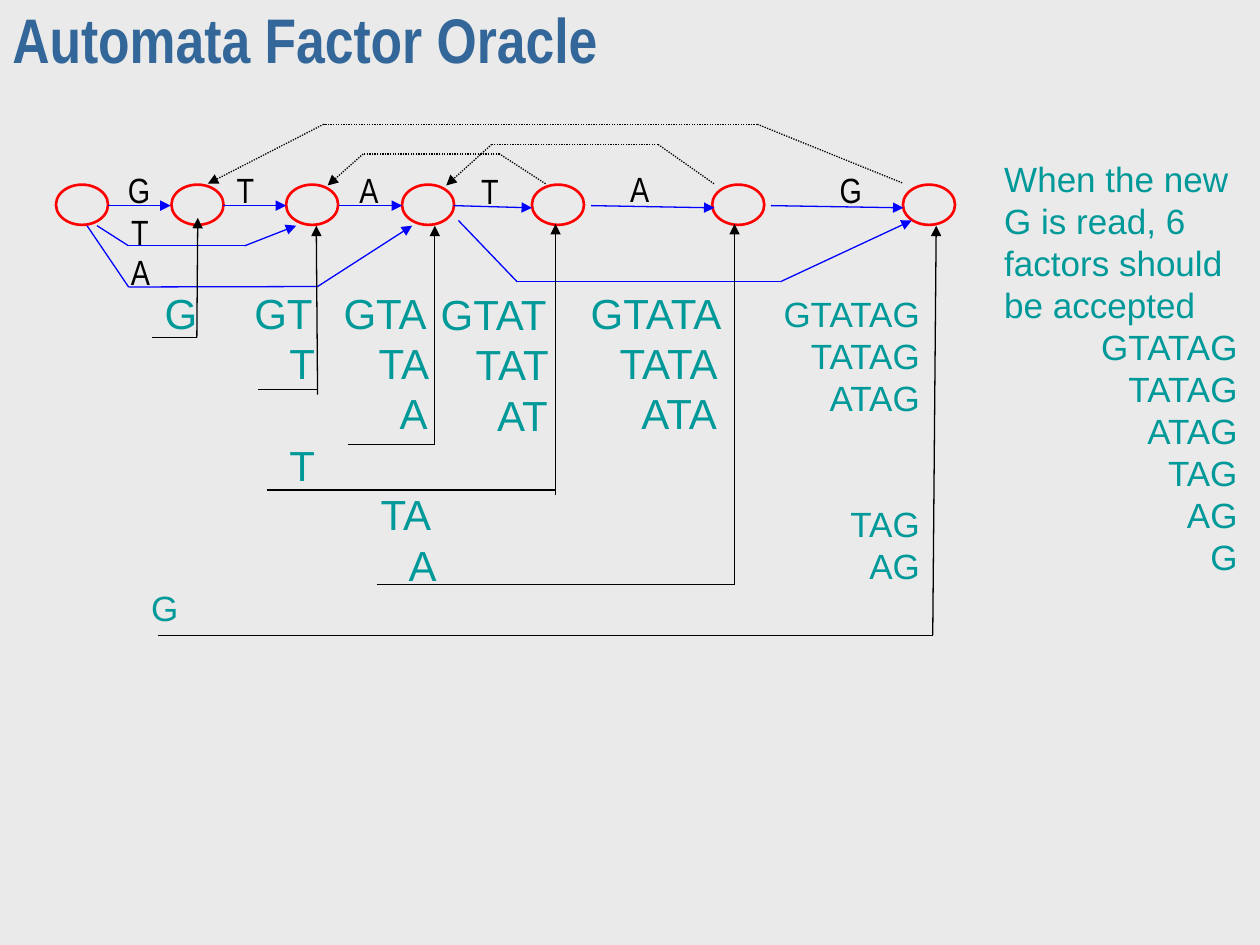
from pptx import Presentation
from pptx.dml.color import RGBColor
from pptx.enum.dml import MSO_LINE
from pptx.enum.shapes import MSO_CONNECTOR, MSO_SHAPE
from pptx.enum.text import MSO_ANCHOR, PP_ALIGN
from pptx.oxml.ns import qn
from pptx.util import Pt
from lxml.etree import SubElement

PAPER = RGBColor(0xEA, 0xEA, 0xEA)
STEEL = RGBColor(0x33, 0x66, 0x99)
TEAL = RGBColor(0x00, 0x99, 0x99)
RED = RGBColor(0xFF, 0x00, 0x00)
BLUE = RGBColor(0x00, 0x00, 0xFF)
BLACK = RGBColor(0x00, 0x00, 0x00)
INK = RGBColor(0x01, 0x00, 0x00)
LEFT, RIGHT, CENTER = PP_ALIGN.LEFT, PP_ALIGN.RIGHT, PP_ALIGN.CENTER


class Board:
    sans = "Arial"
    narrow = "Arial Narrow"

    def __init__(self, deck):
        self.slide = deck.slides.add_slide(deck.slide_layouts[6])
        fill = self.slide.background.fill
        fill.solid()
        fill.fore_color.rgb = PAPER

    def frame(self, x, y, w, h, anchor=MSO_ANCHOR.TOP, wrap=True):
        box = self.slide.shapes.add_textbox(Pt(x), Pt(y), Pt(w), Pt(h))
        frame = box.text_frame
        frame.word_wrap = wrap
        frame.vertical_anchor = anchor
        return frame

    def put(self, para, text, size, color, face, bold=False):
        run = para.add_run()
        run.text = text
        font = run.font
        font.name, font.size, font.bold = face, Pt(size), bold
        font.color.rgb = color

    def title(self, text):
        para = self.frame(0, 0, 720, 54, MSO_ANCHOR.MIDDLE).paragraphs[0]
        para.line_spacing = 0.7
        self.put(para, text, 36, STEEL, self.narrow, True)

    def label(self, text, x, y):
        frame = self.frame(x - 12.5, y - 16, 25, 32, MSO_ANCHOR.MIDDLE, False)
        para = frame.paragraphs[0]
        para.alignment = CENTER
        self.put(para, text, 20, INK, self.narrow)

    def words(self, place, size, rows):
        frame = self.frame(*place)
        for num, (text, align, inset, gap) in enumerate(rows):
            para = frame.add_paragraph() if num else frame.paragraphs[0]
            para.alignment = align
            para.line_spacing = Pt(size * 1.2)
            if gap:
                para.space_before = Pt(gap * size * 1.2)
            if inset:
                props = para._p.get_or_add_pPr()
                props.set("marL", str(Pt(inset)))
                props.set("indent", "0")
            self.put(para, text, size, TEAL, self.sans)

    def state(self, x):
        oval = self.slide.shapes.add_shape(
            MSO_SHAPE.OVAL, Pt(x), Pt(105.5), Pt(29.75), Pt(23))
        oval.shadow.inherit = False
        oval.fill.background()
        oval.line.color.rgb = RED
        oval.line.width = Pt(1.5)

    def route(self, points, color, dash=None, arrow=True):
        for start, end in zip(points, points[1:]):
            edge = self.slide.shapes.add_connector(
                MSO_CONNECTOR.STRAIGHT, *map(Pt, start + end))
            line = edge.line
            line.color.rgb = color
            line.width = Pt(0.75)
            if dash:
                line.dash_style = dash
            SubElement(edge._element.spPr, qn("a:effectLst"))
        if arrow:
            SubElement(line._get_or_add_ln(), qn("a:tailEnd"), type="triangle")


STATES = [32, 98, 163.5, 229.75, 304, 407, 516]
STEPS = [
    (61.75, 97.5, 117.5), (127.5, 163.5, 117.5), (193.5, 229.75, 117.5),
    (259.25, 304, 118.75), (337.75, 408.25, 118.75), (440.5, 516.25, 118.75),
]
LABELS = [
    ("G", 78.5, 108), ("T", 140.25, 108), ("A", 210.75, 108),
    ("T", 280, 109), ("A", 365.5, 107.5), ("G", 485.25, 108),
    ("T", 80, 132.5), ("A", 80.25, 155),
]
JUMPS = [
    [(55.5, 129), (73.5, 140.5), (139.75, 140.5), (169.25, 129)],
    [(49.75, 129), (73.5, 164), (181.5, 163.75), (235.5, 129)],
    [(262, 126), (295.5, 161), (446, 161), (521, 126)],
]
LINKS = [
    [(311.75, 105), (285.5, 88), (207.5, 88), (187.25, 106)],
    [(408, 105), (376, 82.5), (281, 82.5), (255, 106)],
    [(515.5, 104.5), (432.75, 71), (185, 71), (118.75, 105)],
]
RISERS = [
    [(87, 193), (112.5, 193), (113, 124.5)],
    [(181.5, 225.5), (180.75, 129)],
    [(198.75, 254), (248.5, 254), (248.5, 129)],
    [(317.5, 283), (317.5, 128)],
    [(215.25, 334), (419.75, 334), (419.75, 128)],
    [(90, 363), (533, 363), (535, 129)],
]
RULES = [[(147.5, 222.5), (181, 222.5)], [(152.5, 280), (317.5, 280)]]
FACTORS = [
    ((87, 160.5, 45.5, 40), [("G", 0, 0)]),
    ((138.25, 160.5, 56, 65), [("GT", 0, 0), ("T", 20, 0)]),
    ((189.25, 160.5, 85, 93), [("GTA", 0, 0), ("TA", 20, 0), ("A", 32, 0)]),
    ((138.25, 161.25, 286.5, 122.5),
     [("GTAT", 106.5, 0), ("TAT", 126.5, 0), ("AT", 138.75, 0), ("T", 20, 0)]),
    ((144, 160.5, 357, 199.5),
     [("GTATA", 186.5, 0), ("TATA", 203, 0), ("ATA", 215.5, 0),
      ("TA", 66.5, 1), ("A", 82.5, 0)]),
]
SUFFIXES = ["GTATAG", "TATAG", "ATAG", "TAG", "AG", "G"]


def main():
    deck = Presentation()
    deck.slide_width, deck.slide_height = Pt(720), Pt(540)
    board = Board(deck)
    board.title("Automata Factor Oracle")
    note = "When the new G is read, 6 factors should be accepted"
    board.words((566.75, 86.5, 147.5, 247), 20, [(note, LEFT, 0, 0)]
                + [(text, RIGHT, 0, 0) for text in SUFFIXES])
    for place, rows in FACTORS:
        board.words(place, 24, [(text, LEFT, inset, gap)
                                for text, inset, gap in rows])
    board.words((79.25, 163.5, 453.5, 199), 20, [
        (text, LEFT if text == "G" else RIGHT, 0, 2 if text == "TAG" else 0)
        for text in SUFFIXES])
    for x in STATES:
        board.state(x)
    for start, end, y in STEPS:
        board.route([(start, 117.5), (end, y)], BLUE)
    for text, x, y in LABELS:
        board.label(text, x, y)
    for points in JUMPS:
        board.route(points, BLUE)
    for points in RISERS:
        board.route(points, BLACK)
    for points in RULES:
        board.route(points, BLACK, arrow=False)
    for points in LINKS:
        board.route(points, BLACK, MSO_LINE.ROUND_DOT)
    deck.save("out.pptx")


if __name__ == "__main__":
    main()
